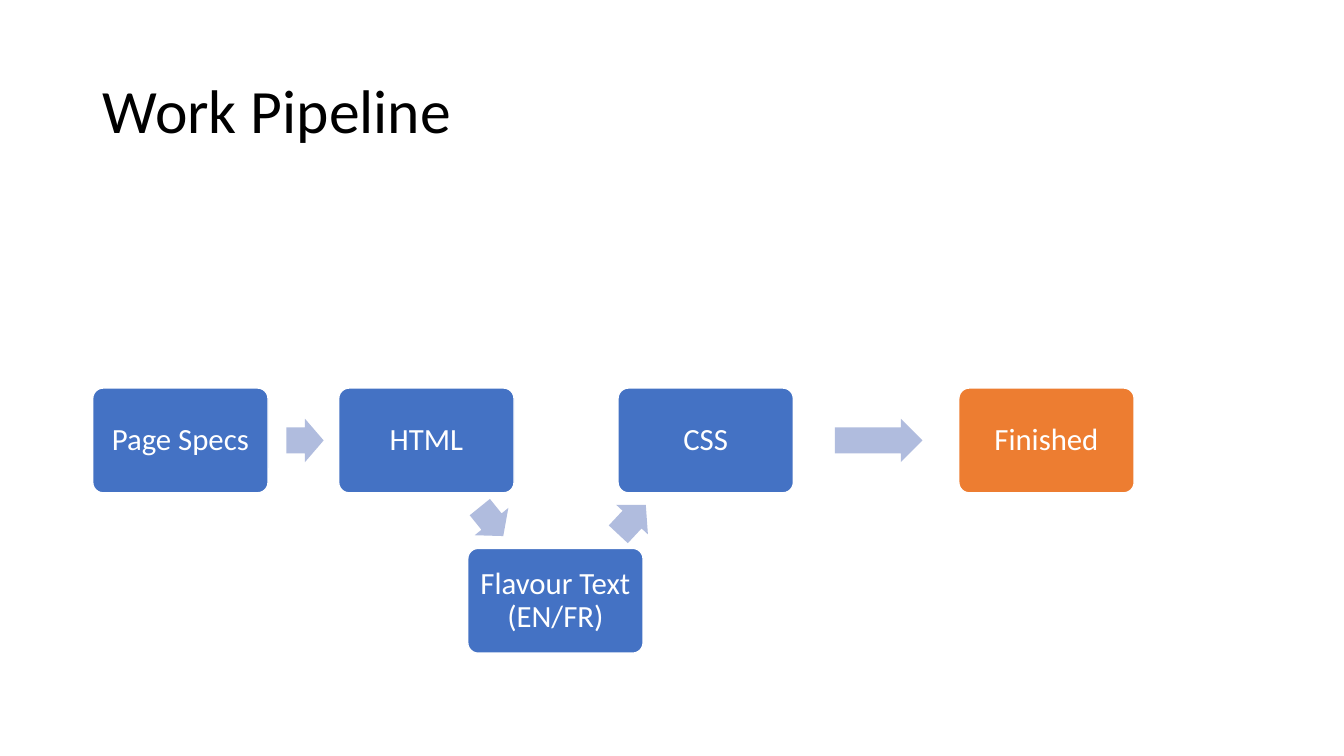
from dataclasses import dataclass

from pptx import Presentation
from pptx.dml.color import RGBColor
from pptx.enum.shapes import MSO_SHAPE
from pptx.enum.text import MSO_ANCHOR, PP_ALIGN
from pptx.util import Emu, Inches, Pt


@dataclass(frozen=True)
class Theme:
    font: str = "Calibri"
    title_size: int = 44
    step_size: int = 22
    ink: str = "000000"
    paper: str = "FFFFFF"
    step: str = "4472C4"
    finish: str = "ED7D31"
    arrow: str = "B0BCDE"


@dataclass(frozen=True)
class Box:
    left: int
    top: int
    width: int
    height: int

    def inner(self, x, y, w, h):
        return Box(
            Emu(round(self.left + self.width * x / 100)),
            Emu(round(self.top + self.height * y / 100)),
            Emu(round(self.width * w / 100)),
            Emu(round(self.height * h / 100)),
        )

    def edges(self):
        return self.left, self.top, self.width, self.height


THEME = Theme()
STEP_W, STEP_H = 16.84, 39.54
LOWER_ROW = 100 - STEP_H
LAST_COLUMN = 100 - STEP_W
ARROW_H = 16.35

STEPS = [
    ("Page Specs", 0, 0, THEME.step),
    ("HTML", 23.62, 0, THEME.step),
    ("Flavour Text (EN/FR)", 36.01, LOWER_ROW, THEME.step),
    ("CSS", 50.44, 0, THEME.step),
    ("Finished", LAST_COLUMN, 0, THEME.finish),
]
ARROWS = [
    (20.38, STEP_H / 2, 3.58, 0),
    (38.29, 50.38, 3.58, 51),
    (51.79, 49.62, 3.87, 313),
    (75.46, STEP_H / 2, 8.42, 0),
]


def write(frame, text, size, color, align):
    frame.text = text
    frame.word_wrap = True
    frame.vertical_anchor = MSO_ANCHOR.MIDDLE
    paragraph = frame.paragraphs[0]
    paragraph.alignment = align
    paragraph.line_spacing = 0.9
    font = paragraph.runs[0].font
    font.name = THEME.font
    font.size = Pt(size)
    font.color.rgb = RGBColor.from_string(color)


def add_filled(slide, kind, box, fill, adjustments):
    shape = slide.shapes.add_shape(kind, *box.edges())
    shape.shadow.inherit = False
    shape.fill.solid()
    shape.fill.fore_color.rgb = RGBColor.from_string(fill)
    shape.line.fill.background()
    for index, value in enumerate(adjustments):
        shape.adjustments[index] = value
    return shape


def add_title(slide, box):
    title = slide.shapes.title
    title.left, title.top, title.width, title.height = box.edges()
    write(title.text_frame, "Work Pipeline", THEME.title_size, THEME.ink, PP_ALIGN.LEFT)


def add_step(slide, box, text, fill):
    step = add_filled(slide, MSO_SHAPE.ROUNDED_RECTANGLE, box, fill, [0.1])
    step.line.color.rgb = RGBColor.from_string(THEME.paper)
    step.line.width = Pt(1)
    frame = step.text_frame
    frame.margin_left = frame.margin_right = Inches(0.09)
    frame.margin_top = frame.margin_bottom = Inches(0.09)
    write(frame, text, THEME.step_size, THEME.paper, PP_ALIGN.CENTER)


def add_pipeline(slide, box):
    for text, x, y, fill in STEPS:
        add_step(slide, box.inner(x, y, STEP_W, STEP_H), text, fill)
    for center_x, center_y, width, angle in ARROWS:
        place = box.inner(center_x - width / 2, center_y - ARROW_H / 2, width, ARROW_H)
        arrow = add_filled(slide, MSO_SHAPE.RIGHT_ARROW, place, THEME.arrow, [0.6, 0.5])
        arrow.rotation = angle


def main():
    deck = Presentation()
    deck.slide_width, deck.slide_height = Inches(13.33), Inches(7.5)
    slide = deck.slides.add_slide(deck.slide_layouts[5])
    page = Box(0, 0, deck.slide_width, deck.slide_height)
    add_title(slide, page.inner(6.9, 5.33, 86.27, 19.33))
    add_pipeline(slide, page.inner(6.9, 51.33, 77.49, 35.07))
    deck.save("out.pptx")


main()
